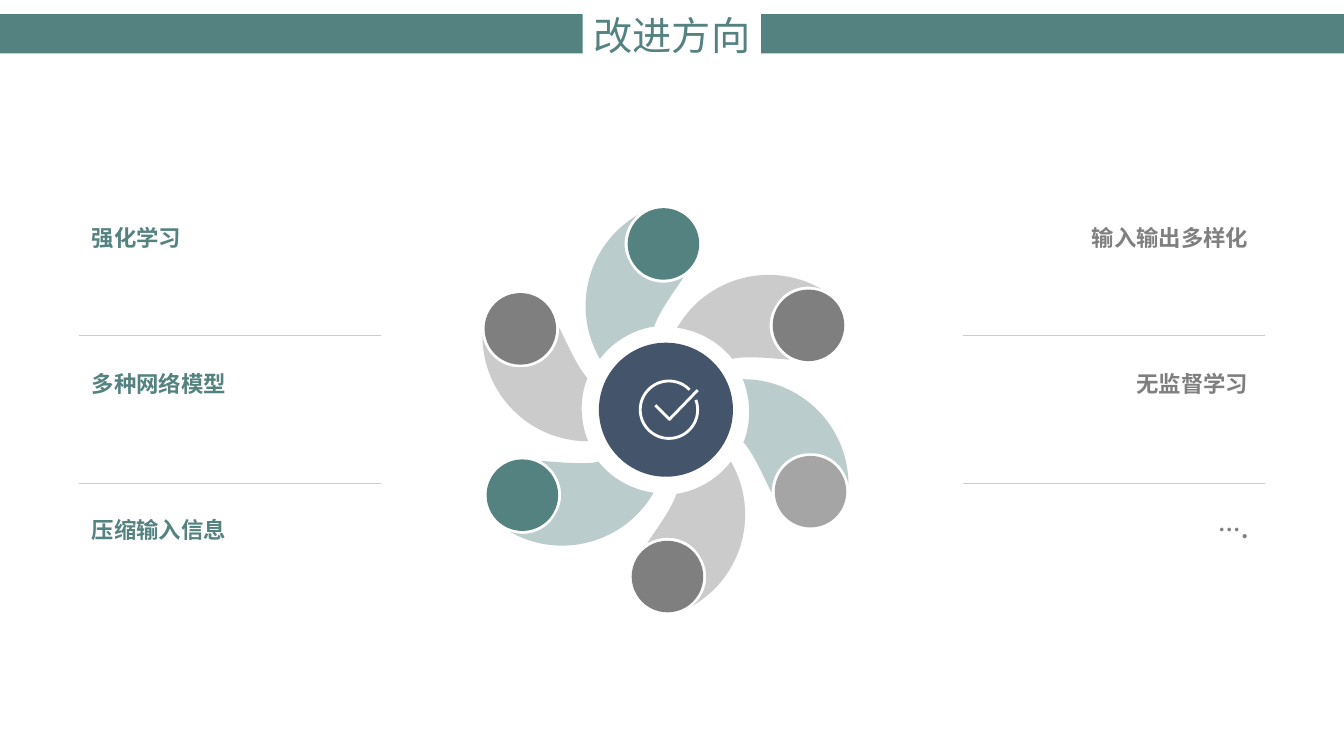
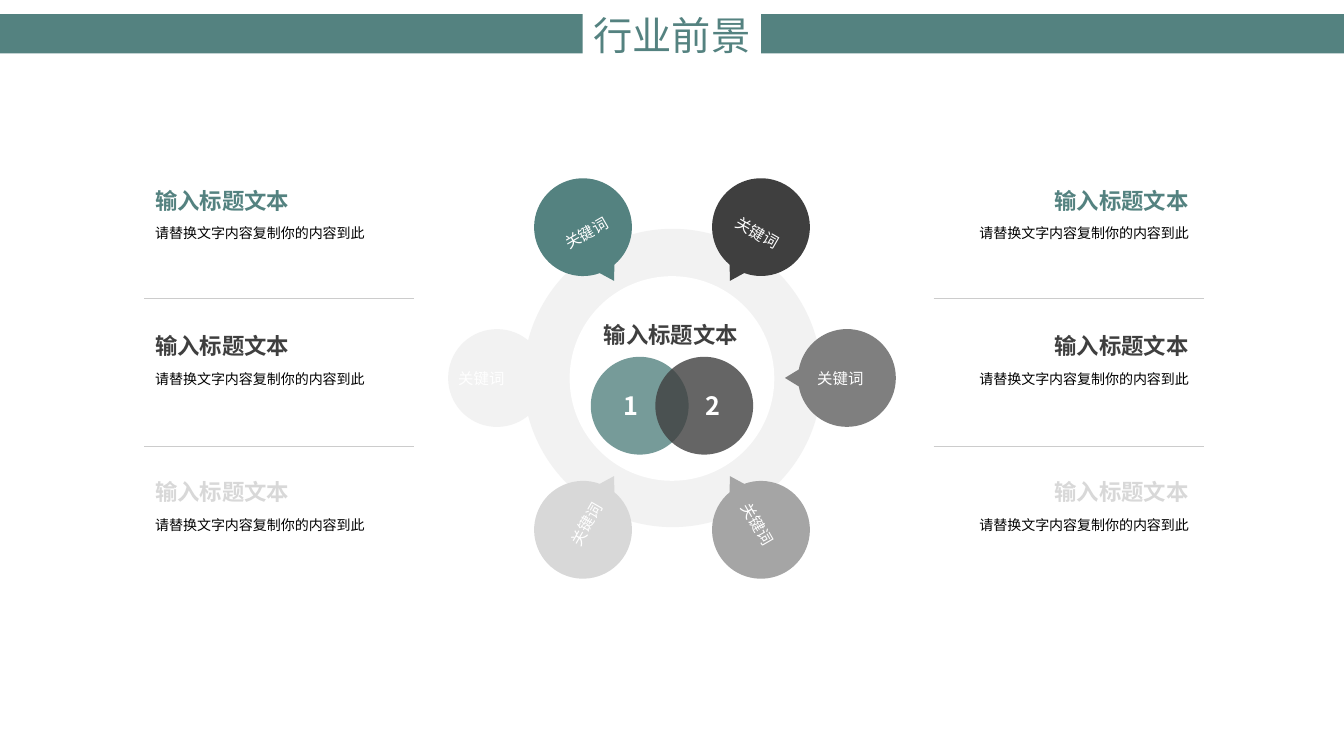
import math

import lxml.etree
import pptx
import pptx.util
import pptx.dml.color
import pptx.enum.shapes
import pptx.enum.text
import pptx.oxml.ns

Inches = pptx.util.Inches
Pt = pptx.util.Pt
RGBColor = pptx.dml.color.RGBColor
Shape = pptx.enum.shapes.MSO_SHAPE
Align = pptx.enum.text.PP_ALIGN
Anchor = pptx.enum.text.MSO_ANCHOR
qn = pptx.oxml.ns.qn

TEAL = RGBColor(0x54, 0x82, 0x80)
NAVY = RGBColor(0x44, 0x54, 0x6A)
CHARCOAL = RGBColor(0x3F, 0x3F, 0x3F)
GRAY = RGBColor(0x7F, 0x7F, 0x7F)
SILVER = RGBColor(0xA5, 0xA5, 0xA5)
RULE = RGBColor(0xCC, 0xCC, 0xCC)
LIGHT = RGBColor(0xD8, 0xD8, 0xD8)
PALE = RGBColor(0xF2, 0xF2, 0xF2)
WHITE = RGBColor(0xFF, 0xFF, 0xFF)
BLACK = RGBColor(0, 0, 0)
FONT = "Noto Sans CJK SC"


def paint(shape, color, opacity=100, curves=0):
    shape.shadow.inherit = False
    shape.line.fill.background()
    shape.fill.solid()
    shape.fill.fore_color.rgb = color
    if opacity < 100:
        color_element = shape._element.spPr.find(qn("a:solidFill"))[0]
        alpha = lxml.etree.SubElement(color_element, qn("a:alpha"))
        alpha.set("val", str(opacity * 1000))
    segments = list(shape._element.iter(qn("a:lnTo")))
    for index in range(0, 3 * curves, 3):
        curve = lxml.etree.Element(qn("a:cubicBezTo"))
        segments[index].addprevious(curve)
        for segment in segments[index:index + 3]:
            curve.append(segment[0])
            segment.getparent().remove(segment)


def write(shape, text, size, color, align=Align.LEFT, bold=False,
          anchor=Anchor.TOP, wrap=True, spacing=None, inset=0):
    frame = shape.text_frame
    frame.margin_left = frame.margin_right = Inches(inset)
    frame.margin_top = frame.margin_bottom = Inches(inset)
    frame.word_wrap = wrap
    frame.vertical_anchor = anchor
    frame.text = text
    paragraph = frame.paragraphs[0]
    paragraph.alignment = align
    if spacing:
        paragraph.line_spacing = spacing
    paragraph.font.size = Pt(size)
    paragraph.font.bold = bold
    paragraph.font.color.rgb = color
    paragraph.font.name = FONT
    properties = paragraph._p.pPr.find(qn("a:defRPr"))
    lxml.etree.SubElement(properties, qn("a:ea")).set("typeface", FONT)


presentation = pptx.Presentation()
presentation.slide_width = Inches(13.33)
presentation.slide_height = Inches(7.5)
layout = presentation.slide_layouts[5]

slides = []
for title_text in ("改进方向", "行业前景"):
    slide = presentation.slides.add_slide(layout)
    title = slide.shapes.title
    title.left, title.top = Inches(5.78), Inches(0.06)
    title.width, title.height = Inches(1.77), Inches(0.57)
    write(title, title_text, 28, TEAL, Align.CENTER, anchor=Anchor.MIDDLE, wrap=False)
    slides.append(slide)
directions, prospects = slides

for left in (0, 7.55):
    band = directions.shapes.add_shape(
        Shape.RECTANGLE, Inches(left), Inches(0.14), Inches(5.78), Inches(0.39))
    paint(band, TEAL)
    layout.shapes._spTree.append(band._element)

HUB_X, HUB_Y = 6.6, 4.07
PETAL_OUTLINE = [
    (5.95, 3.56),
    (5.66, 3.06), (5.83, 2.42), (6.33, 2.13),
    (6.19, 2.25), (6.15, 2.45), (6.25, 2.61),
    (6.35, 2.8), (6.59, 2.86), (6.78, 2.75),
    (6.79, 2.75), (6.53, 3.09), (6.49, 3.24),
    (6.28, 3.27), (6.08, 3.39), (5.95, 3.56),
]
DOT_CENTER = (6.58, 2.42)
DOT_SIZE = 0.71

hub = directions.shapes.add_shape(
    Shape.OVAL, Inches(5.94), Inches(3.4), Inches(1.33), Inches(1.33))
paint(hub, NAVY)

for index, dot_color in enumerate((TEAL, GRAY, SILVER, GRAY, TEAL, GRAY)):
    cosine = math.cos(math.radians(60 * index))
    sine = math.sin(math.radians(60 * index))
    turned = []
    for x, y in PETAL_OUTLINE + [DOT_CENTER]:
        x, y = x - HUB_X, y - HUB_Y
        turned.append((HUB_X + x * cosine - y * sine, HUB_Y + x * sine + y * cosine))
    dot_x, dot_y = turned.pop()
    points = [(Inches(x), Inches(y)) for x, y in turned]
    builder = directions.shapes.build_freeform(*points[0])
    builder.add_line_segments(points[1:], close=True)
    paint(builder.convert_to_shape(), GRAY if index % 2 else TEAL, 40, curves=5)
    dot = directions.shapes.add_shape(
        Shape.OVAL, Inches(dot_x - DOT_SIZE / 2), Inches(dot_y - DOT_SIZE / 2),
        Inches(DOT_SIZE), Inches(DOT_SIZE))
    paint(dot, dot_color)

ring = directions.shapes.add_shape(
    Shape.ARC, Inches(6.35), Inches(3.78), Inches(0.57), Inches(0.57))
ring.adjustments[0] = 340 * 0.6
ring.adjustments[1] = 316 * 0.6
builder = directions.shapes.build_freeform(Inches(6.5), Inches(4.02))
builder.add_line_segments(
    [(Inches(6.64), Inches(4.16)), (Inches(6.92), Inches(3.87))], close=False)
tick = builder.convert_to_shape()
for stroke in (ring, tick):
    stroke.shadow.inherit = False
    stroke.fill.background()
    stroke.line.color.rgb = WHITE
    stroke.line.width = Pt(2)

for left, color, align, labels in (
        (9.19, GRAY, Align.RIGHT, ("输入输出多样化", "无监督学习", "….")),
        (0.91, TEAL, Align.LEFT, ("强化学习", "多种网络模型", "压缩输入信息"))):
    for row, text in enumerate(labels):
        label = directions.shapes.add_textbox(
            Inches(left), Inches(2.22 + 1.45 * row), Inches(3.19), Inches(0.34))
        write(label, text, 16, color, align, bold=True)

for left, top, diameter, color, opacity in (
        (5.19, 2.27, 2.96, PALE, 100), (5.65, 2.74, 2.03, WHITE, 100),
        (5.86, 3.54, 0.97, TEAL, 80), (6.5, 3.54, 0.97, CHARCOAL, 80)):
    disc = prospects.shapes.add_shape(
        Shape.OVAL, Inches(left), Inches(top), Inches(diameter), Inches(diameter))
    paint(disc, color, opacity)

for left, number in ((6.18, "1"), (7, "2")):
    box = prospects.shapes.add_textbox(
        Inches(left), Inches(3.89), Inches(0.14), Inches(0.27))
    write(box, number, 18, WHITE, Align.CENTER, True, Anchor.MIDDLE, False)

RADIUS = 0.97 / 2
BALLOON_HEIGHT = 1.1
ARC_STEP = math.radians(85)
HANDLE = 4 / 3 * math.tan(ARC_STEP / 4)
balloon_outline = []
for index in range(5):
    angle = math.radians(100) + ARC_STEP * index
    cosine, sine = math.cos(angle), math.sin(angle)
    for handle in (-HANDLE, 0, HANDLE):
        balloon_outline.append((RADIUS * (1 + cosine - handle * sine),
                                RADIUS * (1 + sine + handle * cosine)))
balloon_outline = balloon_outline[1:-1] + [(RADIUS, BALLOON_HEIGHT)]

for left, top, rotation, tail_up, color, direction, align in (
        (5.33, 1.76, 330, False, TEAL, "horz", Align.CENTER),
        (5.33, 4.65, 30, True, LIGHT, "vert270", Align.CENTER),
        (4.51, 3.2, 270, False, PALE, "vert", Align.LEFT),
        (7.85, 3.2, 90, False, GRAY, "vert270", Align.CENTER),
        (7.03, 4.65, 330, True, SILVER, "vert", Align.CENTER),
        (7.03, 1.76, 30, False, CHARCOAL, "horz", Align.CENTER)):
    points = [(Inches(left + x), Inches(top + (BALLOON_HEIGHT - y if tail_up else y)))
              for x, y in balloon_outline]
    builder = prospects.shapes.build_freeform(*points[0])
    builder.add_line_segments(points[1:], close=True)
    balloon = builder.convert_to_shape()
    balloon.rotation = rotation
    paint(balloon, color, curves=4)
    write(balloon, "关键词", 11, WHITE, align, anchor=Anchor.MIDDLE, inset=0.1)
    balloon.text_frame._txBody.bodyPr.set("vert", direction)

HEADING = "输入标题文本"
center_heading = prospects.shapes.add_textbox(
    Inches(5.98), Inches(3.19), Inches(1.35), Inches(0.27))
write(center_heading, HEADING, 16, CHARCOAL, Align.CENTER, True, wrap=False)

for left, align in ((1.54, Align.LEFT), (8.93, Align.RIGHT)):
    for row, color in enumerate((TEAL, CHARCOAL, LIGHT)):
        detail = prospects.shapes.add_textbox(
            Inches(left), Inches(2.19 + 1.45 * row), Inches(2.86), Inches(0.56))
        write(detail, "请替换文字内容复制你的内容到此", 10, BLACK, align, spacing=1.2)
        heading = prospects.shapes.add_textbox(
            Inches(left), Inches(1.86 + 1.44 * row), Inches(2.86), Inches(0.34))
        write(heading, HEADING, 16, color, align, bold=True)

for slide, starts, length, first_top in (
        (directions, (9.55, 0.78), 3, 3.33), (prospects, (9.26, 1.43), 2.68, 2.96)):
    for start in starts:
        for row in range(2):
            y = Inches(first_top + 1.47 * row)
            rule = slide.shapes.add_connector(
                pptx.enum.shapes.MSO_CONNECTOR.STRAIGHT,
                Inches(start), y, Inches(start + length), y)
            rule.line.color.rgb = RULE
            rule.line.width = Pt(0.5)
            lxml.etree.SubElement(rule._element.spPr, qn("a:effectLst"))

presentation.save("out.pptx")
